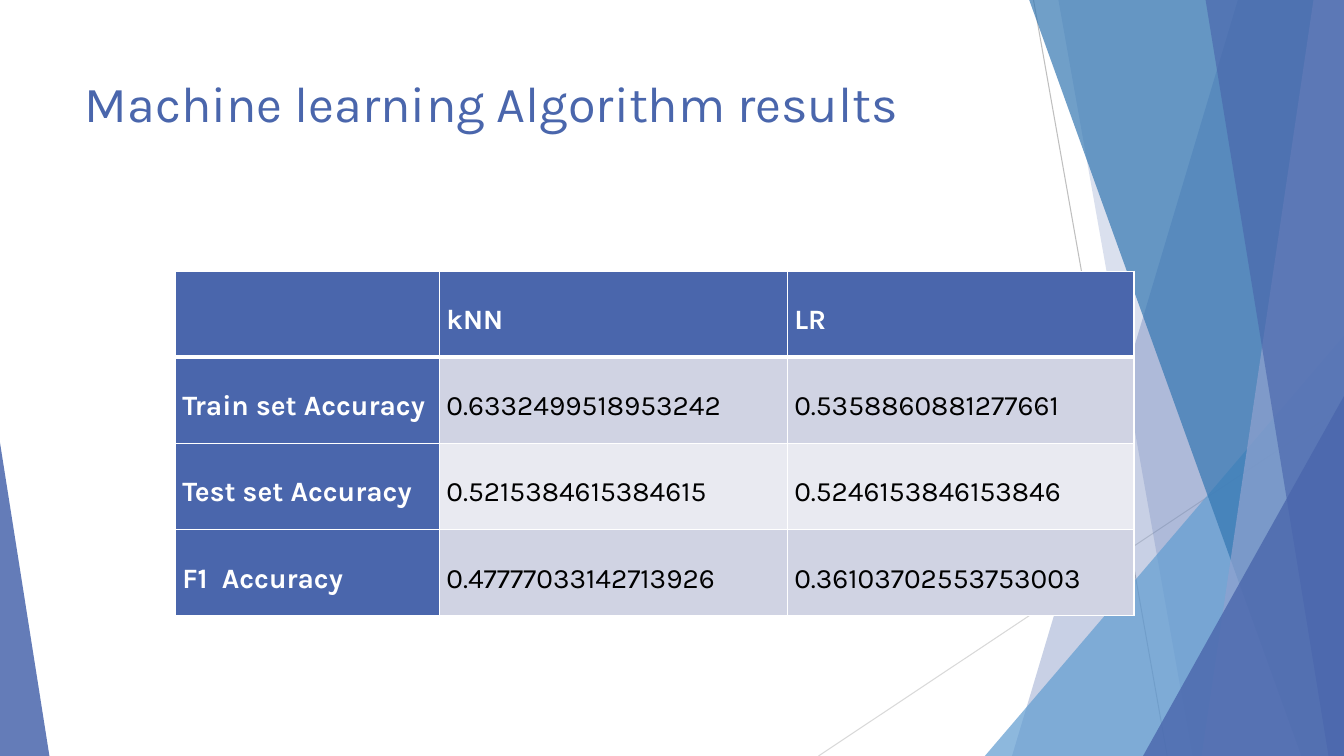
from lxml.etree import SubElement
from pptx import Presentation
from pptx.dml.color import RGBColor as RGB
from pptx.enum.shapes import MSO_CONNECTOR as Link, MSO_SHAPE as Shape
from pptx.enum.text import MSO_ANCHOR as Anchor, PP_ALIGN as Align
from pptx.oxml import parse_xml
from pptx.oxml.ns import nsdecls, qn
from pptx.util import Inches, Pt

COLORS = {
    "blue": "4A66AC", "sky": "629DD1", "deep": "3477B2", "pale": "90A2CF",
    "odd": "D0D3E3", "even": "E9EAF1", "white": "FFFFFF", "black": "000000",
    "gray": "BFBFBF", "light": "D9D9D9",
}

prs = Presentation()
prs.slide_width, prs.slide_height = Inches(13.33), Inches(7.5)
COL, ROW = prs.slide_width / 100, prs.slide_height / 100


def grid(*lengths):
    return [round(length * (ROW if i % 2 else COL)) for i, length in enumerate(lengths)]


def write(frame, text, size=20, color="black", bold=False, align=Align.LEFT, spacing=1):
    paragraph = frame.paragraphs[0]
    paragraph.alignment, paragraph.line_spacing = align, spacing
    run = paragraph.add_run()
    run.text = text
    run.font.name, run.font.size, run.font.bold = "Karla", Pt(size), bold
    run.font.color.rgb = RGB.from_string(COLORS[color])


slide = prs.slides.add_slide(prs.slide_layouts[5])
shapes = slide.shapes

for start, end, color in [
    ((76.9, 0), (86.85, 100), "gray"),
    ((100, 53.73), (60.9, 100), "light"),
]:
    ray = shapes.add_connector(Link.STRAIGHT, *grid(*start, *end))
    ray.line.color.rgb = RGB.from_string(COLORS[color])
    ray.line.width = Pt(0.75)
    SubElement(ray._element.spPr, qn("a:effectLst"))

facets = [
    ("band", (92.1, 75.3), "blue", 30),
    ("band", (78.75, 88.73), "blue", 20),
    ("peak", (73.28, 44.4, 26.72, 55.6, 1), "sky", 72),
    ("band", (76.58, 96.83), "deep", 70),
    ("band", (97.73, 89.4), "pale", 70),
    ("band", (89.7, 98.85), "blue", 65),
    ("peak", (85.05, 52.4, 14.95, 47.6, 1), "blue", 80),
    ("peak", (0, 58.53, 3.68, 41.47, 0), "blue", 85),
]
for kind, place, color, opacity in facets:
    if kind == "band":
        top, bottom = place
        outline = shapes.build_freeform(*grid(top, 0))
        outline.add_line_segments([grid(100, 0), grid(100, 100), grid(bottom, 100)])
        facet = outline.convert_to_shape()
    else:
        facet = shapes.add_shape(Shape.ISOSCELES_TRIANGLE, *grid(*place[:4]))
        facet.adjustments[0] = place[4]
    facet.shadow.inherit = False
    facet.line.fill.background()
    facet.fill.solid()
    facet.fill.fore_color.rgb = RGB.from_string(COLORS[color])
    tint = facet._element.spPr.find(qn("a:solidFill"))[0]
    SubElement(tint, qn("a:alpha"), val=str(opacity * 1000))

title = shapes.title
title.left, title.top, title.width, title.height = grid(5.55, 8.93, 70.5, 19.2)
title.text_frame.vertical_anchor = Anchor.TOP
write(title.text_frame, "Machine learning Algorithm results", size=36, color="blue")

results = [
    ["", "kNN", "LR"],
    ["Train set Accuracy", "0.6332499518953242", "0.5358860881277661"],
    ["Test set Accuracy", "0.5215384615384615", "0.5246153846153846"],
    ["F1  Accuracy", "0.47777033142713926", "0.36103702553753003"],
]
table = shapes.add_table(4, 3, *grid(13.05, 35.87, 71.33, 45.6)).table
for column, share in zip(table.columns, (19.65, 25.88, 25.8)):
    column.width = grid(share)[0]

side_margin = grid(0.52)[0]
for r, record in enumerate(results):
    for c, value in enumerate(record):
        cell = table.cell(r, c)
        heading = r == 0 or c == 0
        cell.margin_left = cell.margin_right = side_margin
        cell.margin_top = cell.margin_bottom = 0
        cell.fill.solid()
        fill = "blue" if heading else "odd" if r % 2 else "even"
        cell.fill.fore_color.rgb = RGB.from_string(COLORS[fill])
        if value:
            write(cell.text_frame, value, color="white" if heading else "black",
                  bold=heading, align=Align.JUSTIFY, spacing=2)
        for i, side in enumerate("LRTB"):
            thick = (r, side) in [(0, "B"), (1, "T")]
            border = parse_xml(
                f'<a:ln{side} {nsdecls("a")} w="{Pt(3 if thick else 1)}"><a:solidFill>'
                f'<a:srgbClr val="{COLORS["white"]}"/></a:solidFill></a:ln{side}>')
            cell._tc.tcPr.insert(i, border)

prs.save("out.pptx")
